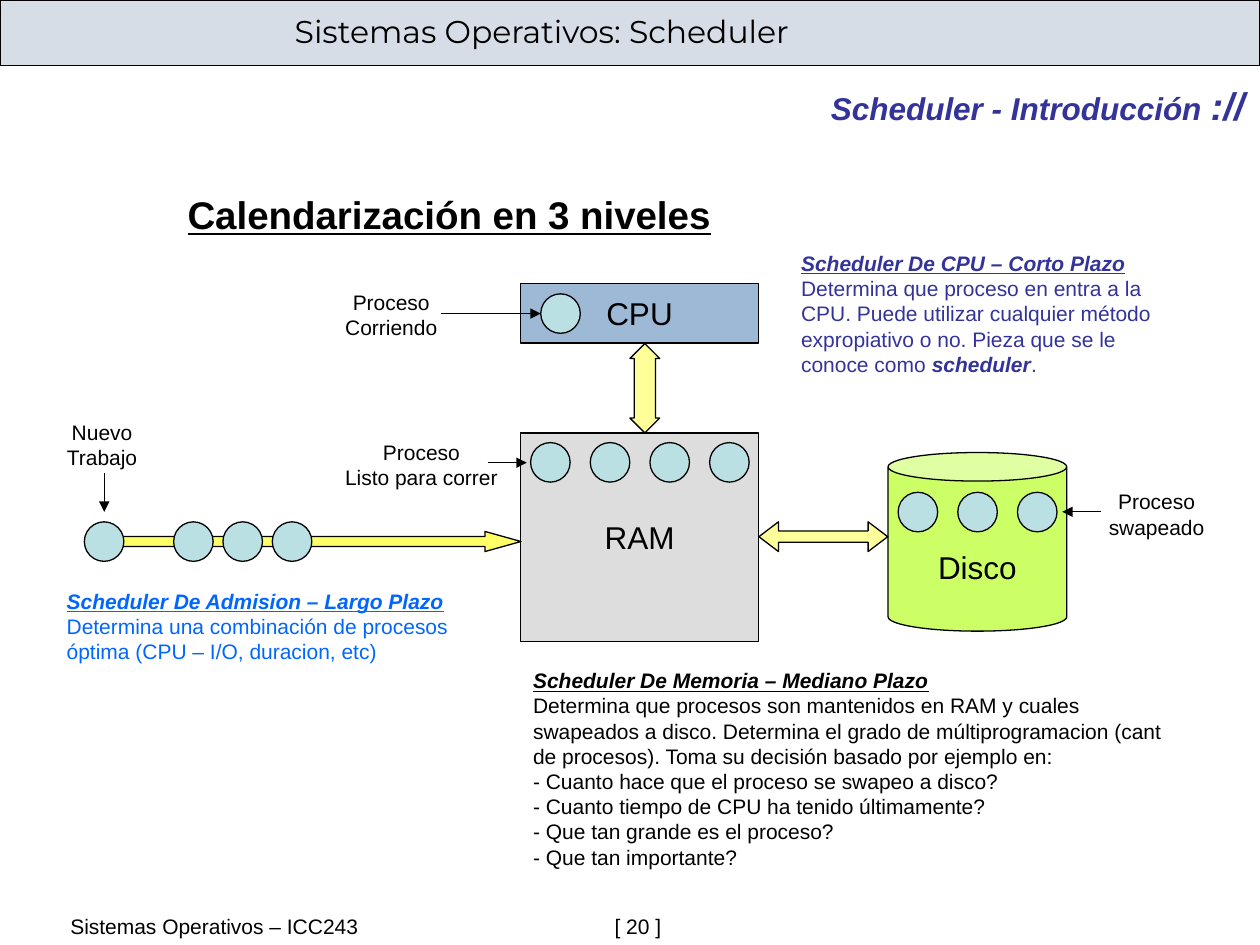
from lxml import etree
from pptx import Presentation
from pptx.dml.color import RGBColor
from pptx.enum.shapes import MSO_CONNECTOR, MSO_SHAPE
from pptx.enum.text import MSO_ANCHOR, MSO_AUTO_SIZE, PP_ALIGN
from pptx.oxml.ns import qn
from pptx.util import Pt

LEFT, CENTER, RIGHT = PP_ALIGN.LEFT, PP_ALIGN.CENTER, PP_ALIGN.RIGHT
TOP, MIDDLE = MSO_ANCHOR.TOP, MSO_ANCHOR.MIDDLE
RECT, OVAL, CAN = MSO_SHAPE.RECTANGLE, MSO_SHAPE.OVAL, MSO_SHAPE.CAN
RIGHT_ARROW = MSO_SHAPE.RIGHT_ARROW
UP_DOWN_ARROW, LEFT_RIGHT_ARROW = MSO_SHAPE.UP_DOWN_ARROW, MSO_SHAPE.LEFT_RIGHT_ARROW

THEME = {
    "font": "Arial", "banner_font": "Montserrat",
    "small": 12, "large": 18, "heading": 22, "line": 0.75,
    "black": "000000", "navy": "333399", "blue": "0066FF",
    "banner": "D7DDE7", "cpu": "9EB9D6", "ram": "DDDDDD", "disk": "CCFF66",
    "process": "BBE0E3", "queue": "FFFF66", "transfer": "FFFF99",
}

# ---- Content: runs are (text, style letters b/i/u); boxes are left, top, width, height
BANNER = "Sistemas Operativos: Scheduler"
TITLE = [[("Scheduler - Introducción ", "bi"), ("://", "bi")]]
HEADING = [[("Calendarización en 3 niveles", "bu")]]
FOOTER = "Sistemas Operativos – ICC243\t[ 20 ]"
PAGE_NUMBER_TAB = 311

MEMORY_NOTE = [
    [("Scheduler De Memoria – Mediano Plazo", "biu")],
    [("Determina que procesos son mantenidos en RAM y cuales swapeados a disco. "
      "Determina el grado de múltiprogramacion (cant de procesos). "
      "Toma su decisión basado por ejemplo en:", "")],
    [("- Cuanto hace que el proceso se swapeo a disco?", "")],
    [("- Cuanto tiempo de CPU ha tenido últimamente?", "")],
    [("- Que tan grande es el proceso?", "")],
    [("- Que tan importante?", "")],
]
NOTES = [
    ((31, 332.6, 238.3, 50.4), "blue", [
        [("Scheduler De Admision – Largo Plazo", "biu")],
        [("Determina una combinación de procesos óptima (CPU – I/O, duracion, etc)", "")]]),
    ((450.7, 139.7, 232.6, 79.2), "navy", [
        [("Scheduler De CPU – Corto Plazo", "biu")],
        [("Determina que proceso en entra a la CPU. Puede utilizar cualquier método "
          "expropiativo o no. Pieza que se le conoce como ", ""),
         ("scheduler", "bi"), (".", "")]]),
]
HARDWARE = [  # label, preset, box, fill, adjustments, extra top inset
    ("CPU", RECT, (297.4, 162, 136.1, 34), "cpu", [], 0),
    ("RAM", RECT, (297.4, 247.5, 136.1, 119), "ram", [], 0),
    ("Disco", CAN, (507.5, 258.6, 102.1, 102.1), "disk", [0.16], 20.7),
]
BLOCK_ARROWS = [
    (RIGHT_ARROW, (54, 303.7, 243.7, 11.5), "queue", [0.495, 1.79]),
    (UP_DOWN_ARROW, (360, 196.3, 17, 51.1), "transfer", [0.503, 0.713]),
    (LEFT_RIGHT_ARROW, (433.7, 298.2, 73.6, 17), "transfer", [0.382, 0.657]),
]
DIAMETER = 22.6
PROCESS_ROWS = [  # left, top, count, step
    (48.2, 298.2, 1, 0),       # new job
    (99.2, 298.2, 3, 28.2),    # admission queue
    (309, 167.9, 1, 0),        # running
    (303.2, 252.9, 4, 34.1),   # ready in RAM
    (513.2, 281.3, 3, 34.1),   # swapped to disk
]
CALLOUTS = [  # lines, label box, arrow start, arrow end
    (["Nuevo", "Trabajo"], (31, 236.2, 54.7, 36), (59.6, 270), (59.6, 292.5)),
    (["Proceso", "Corriendo"], (190.1, 162, 67, 36), (252, 179.2), (309, 179.2)),
    (["Proceso", "Listo para correr"], (190.1, 247.7, 101.5, 36), (278.6, 264.4), (301, 264.4)),
    (["Proceso", "swapeado"], (626.4, 275.8, 69.1, 36), (629.3, 292.5), (607, 292.5)),
]


def color(name):
    return RGBColor.from_string(THEME[name])


def place(shape, box):
    shape.left, shape.top, shape.width, shape.height = map(Pt, box)


def write(shape, paragraphs, size="small", ink="black", align=LEFT,
          anchor=TOP, wrap=True, font="font"):
    frame = shape.text_frame
    frame.word_wrap, frame.vertical_anchor = wrap, anchor
    frame.auto_size = MSO_AUTO_SIZE.NONE
    for index, runs in enumerate(paragraphs):
        paragraph = frame.add_paragraph() if index else frame.paragraphs[0]
        paragraph.alignment, paragraph.line_spacing = align, 1.0
        paragraph.space_before = paragraph.space_after = Pt(0)
        for text, style in runs:
            run = paragraph.add_run()
            run.text = text
            run.font.name, run.font.size = THEME[font], Pt(THEME[size])
            run.font.color.rgb = color(ink)
            run.font.bold, run.font.italic = "b" in style, "i" in style
            run.font.underline = "u" in style
    return frame


def add_text(slide, box, paragraphs, **options):
    return write(slide.shapes.add_textbox(*map(Pt, box)), paragraphs, **options)


def add_figure(slide, preset, box, fill, adjustments=()):
    figure = slide.shapes.add_shape(preset, *map(Pt, box))
    figure.shadow.inherit = False
    figure.fill.solid()
    figure.fill.fore_color.rgb = color(fill)
    figure.line.color.rgb, figure.line.width = color("black"), Pt(THEME["line"])
    for index, value in enumerate(adjustments):
        figure.adjustments[index] = value
    return figure


def add_pointer(slide, start, end):
    pointer = slide.shapes.add_connector(MSO_CONNECTOR.STRAIGHT, *map(Pt, start + end))
    pointer.line.color.rgb, pointer.line.width = color("black"), Pt(THEME["line"])
    etree.SubElement(pointer.line._get_or_add_ln(), qn("a:tailEnd"), type="triangle")
    etree.SubElement(pointer._element.spPr, qn("a:effectLst"))


def main():
    deck = Presentation()
    deck.slide_width, deck.slide_height = Pt(720), Pt(540)
    slide = deck.slides.add_slide(deck.slide_layouts[1])
    title, memory_note = slide.placeholders

    # Banner, title, heading and footer
    add_figure(slide, RECT, (0, 0, 720, 37.4), "banner")
    add_text(slide, (161.3, 3.6, 555.8, 28.8), [[(BANNER, "")]],
             size="large", font="banner_font")
    place(title, (105.1, 43.2, 613.4, 33.8))
    title_frame = write(title, TITLE, size="large", ink="navy", align=RIGHT)
    title_frame.paragraphs[0].runs[-1].font.size = Pt(THEME["heading"])
    add_text(slide, (100.1, 105.8, 599.8, 77), HEADING, size="heading")
    footer = add_text(slide, (33.1, 518.4, 660.2, 21.6), [[(FOOTER, "")]])
    tabs = etree.SubElement(footer.paragraphs[0]._p.get_or_add_pPr(), qn("a:tabLst"))
    etree.SubElement(tabs, qn("a:tab"), pos=str(Pt(PAGE_NUMBER_TAB)), algn="l")

    # Scheduler explanations
    place(memory_note, (297.4, 378, 380.2, 122.4))
    for paragraph in write(memory_note, MEMORY_NOTE).paragraphs:
        properties = paragraph._p.get_or_add_pPr()
        properties.set("marL", "0")
        properties.set("indent", "0")
        etree.SubElement(properties, qn("a:buNone"))
    for box, ink, paragraphs in NOTES:
        add_text(slide, box, paragraphs, ink=ink)

    # Hardware, transfer arrows and processes
    for label, preset, box, fill, adjustments, extra_inset in HARDWARE:
        unit = add_figure(slide, preset, box, fill, adjustments)
        frame = write(unit, [[(label, "")]], size="large", align=CENTER,
                      anchor=MIDDLE, wrap=False)
        frame.margin_top += Pt(extra_inset)
    for preset, box, fill, adjustments in BLOCK_ARROWS:
        add_figure(slide, preset, box, fill, adjustments)
    for left, top, count, step in PROCESS_ROWS:
        for index in range(count):
            add_figure(slide, OVAL, (left + index * step, top, DIAMETER, DIAMETER), "process")

    # Process labels with their pointers
    for lines, box, start, end in CALLOUTS:
        add_text(slide, box, [[(line, "")] for line in lines], align=CENTER, wrap=False)
        add_pointer(slide, start, end)

    deck.save("out.pptx")


if __name__ == "__main__":
    main()
